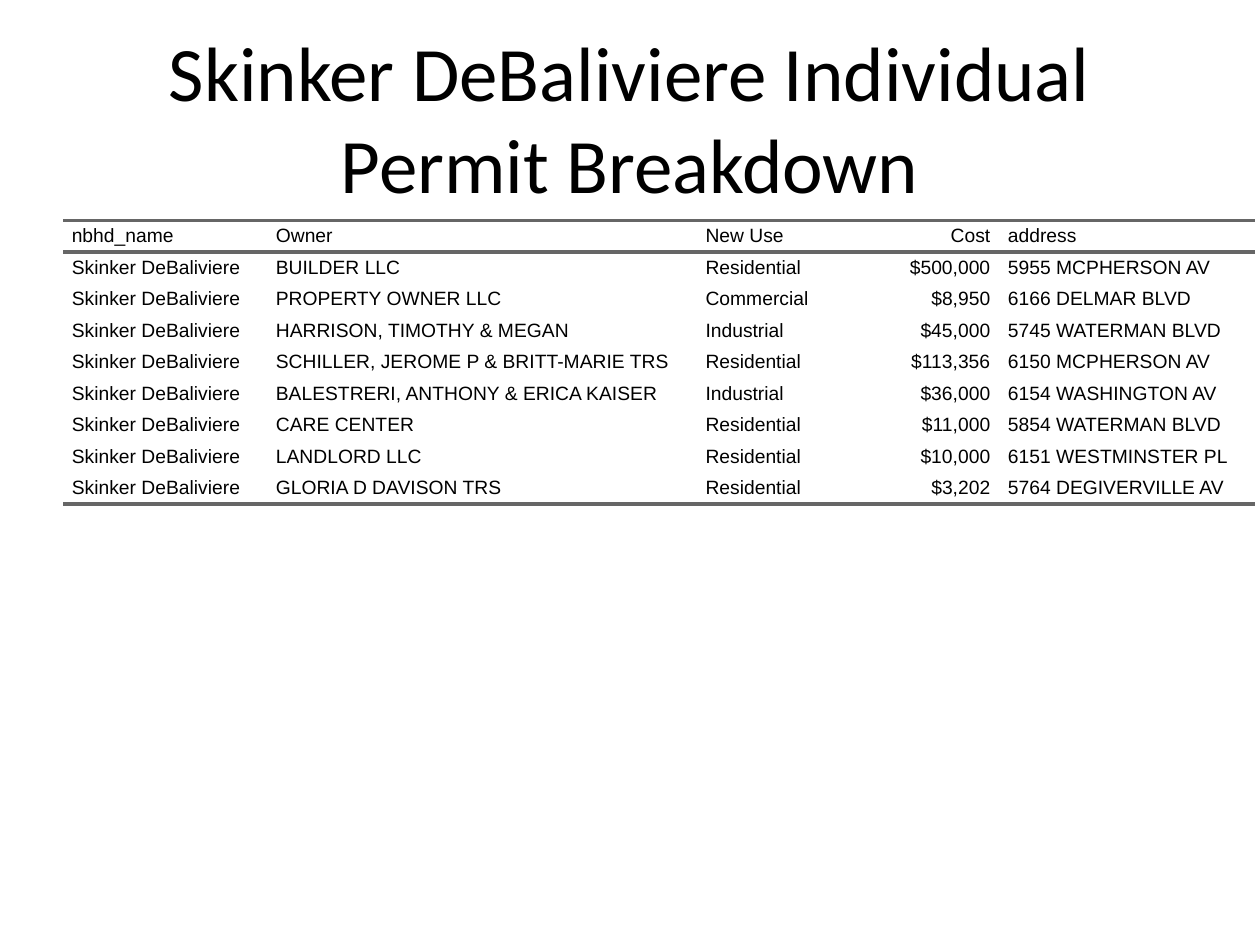
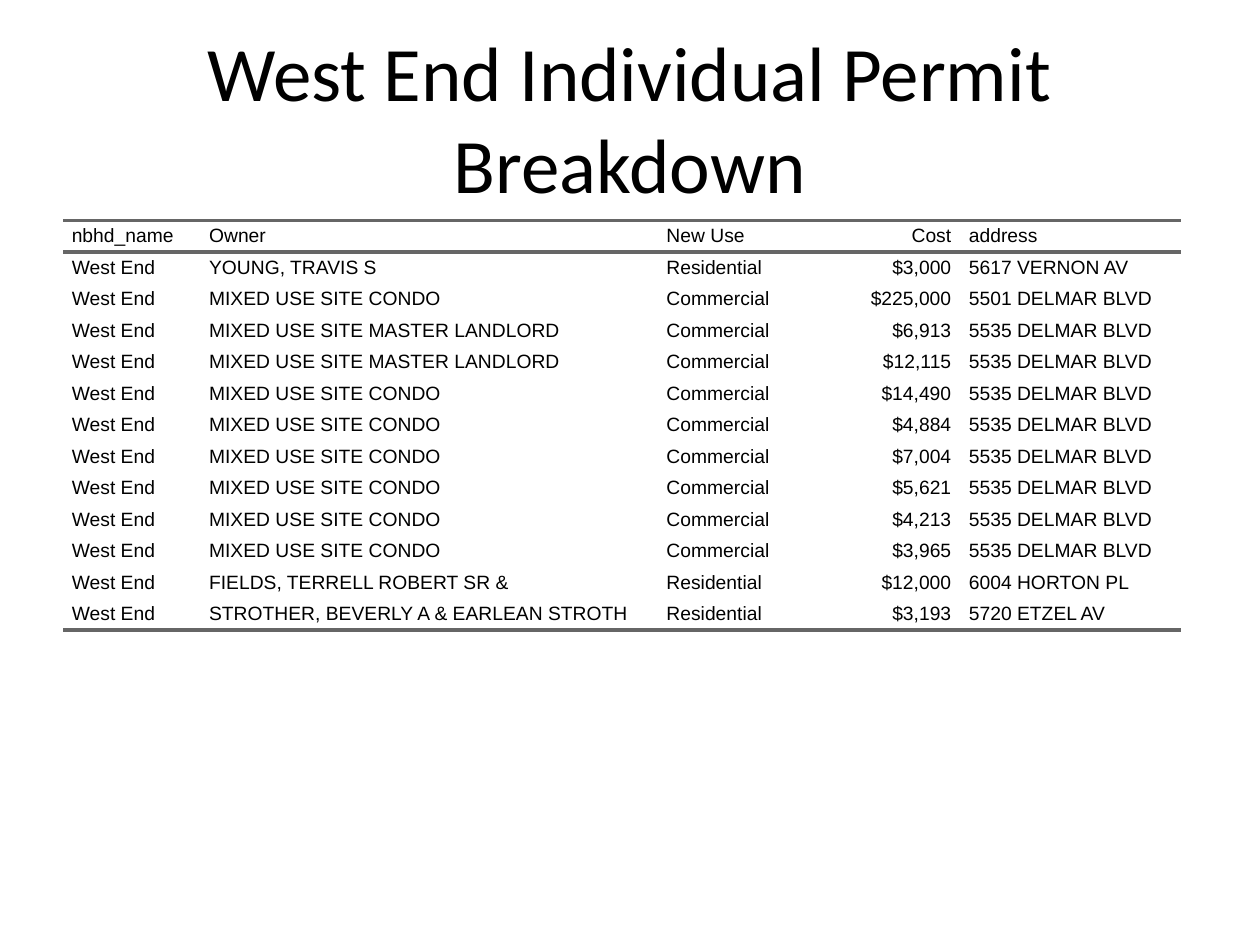
"""Build two slides that list individual building permits by neighborhood."""
from lxml.etree import SubElement
from pptx import Presentation
from pptx.dml.color import RGBColor
from pptx.enum.text import MSO_ANCHOR as Anchor, PP_ALIGN as Align
from pptx.oxml import parse_xml
from pptx.oxml.ns import nsdecls, qn
from pptx.util import Inches, Pt

HEADERS = ("nbhd_name", "Owner", "New Use", "Cost", "address")
NEIGHBORHOODS = [
    {
        "name": "Skinker DeBaliviere",
        "widths": (1.62, 3.41, 1.1, 1.3, 2.03),
        "permits": [
            ("BUILDER LLC", "Residential", "$500,000", "5955 MCPHERSON AV"),
            ("PROPERTY OWNER LLC", "Commercial", "$8,950", "6166 DELMAR BLVD"),
            ("HARRISON, TIMOTHY & MEGAN", "Industrial", "$45,000", "5745 WATERMAN BLVD"),
            ("SCHILLER, JEROME P & BRITT-MARIE TRS", "Residential", "$113,356", "6150 MCPHERSON AV"),
            ("BALESTRERI, ANTHONY & ERICA KAISER", "Industrial", "$36,000", "6154 WASHINGTON AV"),
            ("CARE CENTER", "Residential", "$11,000", "5854 WATERMAN BLVD"),
            ("LANDLORD LLC", "Residential", "$10,000", "6151 WESTMINSTER PL"),
            ("GLORIA D DAVISON TRS", "Residential", "$3,202", "5764 DEGIVERVILLE AV"),
        ],
    },
    {
        "name": "West End",
        "widths": (1.09, 3.63, 1.1, 1.3, 1.75),
        "permits": [
            ("YOUNG, TRAVIS S", "Residential", "$3,000", "5617 VERNON AV"),
            ("MIXED USE SITE CONDO", "Commercial", "$225,000", "5501 DELMAR BLVD"),
            ("MIXED USE SITE MASTER LANDLORD", "Commercial", "$6,913", "5535 DELMAR BLVD"),
            ("MIXED USE SITE MASTER LANDLORD", "Commercial", "$12,115", "5535 DELMAR BLVD"),
            ("MIXED USE SITE CONDO", "Commercial", "$14,490", "5535 DELMAR BLVD"),
            ("MIXED USE SITE CONDO", "Commercial", "$4,884", "5535 DELMAR BLVD"),
            ("MIXED USE SITE CONDO", "Commercial", "$7,004", "5535 DELMAR BLVD"),
            ("MIXED USE SITE CONDO", "Commercial", "$5,621", "5535 DELMAR BLVD"),
            ("MIXED USE SITE CONDO", "Commercial", "$4,213", "5535 DELMAR BLVD"),
            ("MIXED USE SITE CONDO", "Commercial", "$3,965", "5535 DELMAR BLVD"),
            ("FIELDS, TERRELL ROBERT SR &", "Residential", "$12,000", "6004 HORTON PL"),
            ("STROTHER, BEVERLY A & EARLEAN STROTH", "Residential", "$3,193", "5720 ETZEL AV"),
        ],
    },
]

BLACK = RGBColor(0x00, 0x00, 0x00)
RULE_GRAY = RGBColor(0x66, 0x66, 0x66)
RULE_WIDTH = Pt(2)
NO_GRID_STYLE = "{2D5ABB26-0587-4C30-8999-92F81FD0307C}"
LEFT, TABLE_TOP, ROW_HEIGHT, CELL_INSET = 0.5, 1.75, 0.25, 0.07
COST_COLUMN = HEADERS.index("Cost")


def write_text(frame, text, font="Arial", size=11, color=BLACK, align=Align.LEFT):
    para = frame.paragraphs[0]
    para.alignment = align
    span = para.add_run()
    span.text = text
    span.font.name = font
    span.font.size = Pt(size)
    span.font.color.rgb = color


def add_title(page, text):
    box = page.shapes.add_textbox(Inches(LEFT), Inches(0.3), Inches(9), Inches(1.25))
    box.text_frame.word_wrap = True
    box.text_frame.vertical_anchor = Anchor.MIDDLE
    write_text(box.text_frame, text, font="Calibri", size=44, align=Align.CENTER)


def add_rules(cell, sides):
    properties = cell._tc.get_or_add_tcPr()
    for position, side in enumerate(sides):
        rule = parse_xml(f'<a:{side} {nsdecls("a")} w="{RULE_WIDTH}"/>')
        fill = SubElement(rule, qn("a:solidFill"))
        SubElement(fill, qn("a:srgbClr"), val=str(RULE_GRAY))
        properties.insert(position, rule)


def add_permit_table(page, name, widths, permits):
    rows = [HEADERS] + [(name, *permit) for permit in permits]
    frame = page.shapes.add_table(
        len(rows), len(HEADERS), Inches(LEFT), Inches(TABLE_TOP),
        Inches(sum(widths)), Inches(ROW_HEIGHT * len(rows)))
    table = frame.table
    table.horz_banding = False
    table._tbl.tblPr.find(qn("a:tableStyleId")).text = NO_GRID_STYLE
    for column, width in zip(table.columns, widths):
        column.width = Inches(width)
    rules = {0: ("lnT", "lnB"), len(rows) - 1: ("lnB",)}
    for row_index, row in enumerate(rows):
        table.rows[row_index].height = Inches(ROW_HEIGHT)
        for column_index, text in enumerate(row):
            cell = table.cell(row_index, column_index)
            cell.margin_left = cell.margin_right = Inches(CELL_INSET)
            cell.margin_top = cell.margin_bottom = 0
            cell.vertical_anchor = Anchor.MIDDLE
            cell.fill.background()
            add_rules(cell, rules.get(row_index, ()))
            align = Align.RIGHT if column_index == COST_COLUMN else Align.LEFT
            write_text(cell.text_frame, text, align=align)


def main():
    deck = Presentation()
    deck.slide_width, deck.slide_height = Inches(10), Inches(7.5)
    for neighborhood in NEIGHBORHOODS:
        page = deck.slides.add_slide(deck.slide_layouts[6])
        add_title(page, f"{neighborhood['name']} Individual Permit Breakdown")
        add_permit_table(page, **neighborhood)
    deck.save("out.pptx")


if __name__ == "__main__":
    main()
